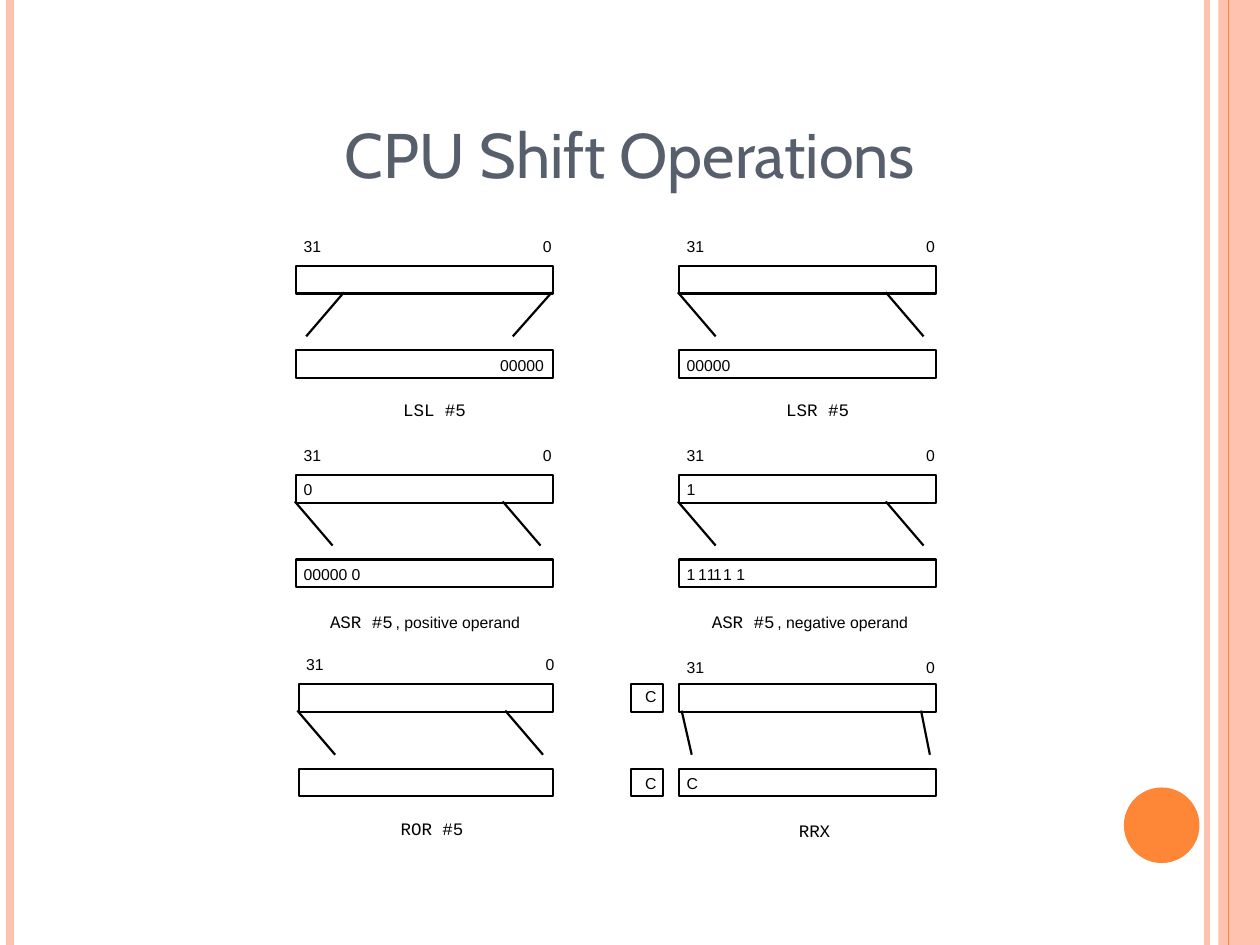
from dataclasses import dataclass

from lxml import etree
from pptx import Presentation
from pptx import util as u
from pptx.dml.color import RGBColor
from pptx.enum import shapes, text
from pptx.oxml.ns import qn


@dataclass(frozen=True)
class Theme:
    ink: str = "000000"
    paper: str = "FFFFFF"
    heading: str = "575F6D"
    orange: str = "FE8637"
    peach: str = "FEC2AE"
    title_font: str = "Cabin"
    sans: str = "Arial"
    mono: str = "Courier New"
    title_size: int = 36
    label_size: int = 9
    code_size: int = 10
    stroke: float = 1.25


THEME = Theme()
WIDTH, HEIGHT = 10, 7.5

TITLE = "CPU Shift Operations"
STRIPES = [
    (9.58, THEME.peach, 3),
    (0.08, THEME.peach, 4.5),
    (9.75, THEME.orange, 0.75),
]

COLUMNS = [2.35, 5.39]
FIRST_ROW, ROW_PITCH = 2.11, 1.66
REGISTER_W, REGISTER_H, RESULT_DROP = 2.04, 0.22, 0.67
SLANT_TOP, SLANT_BOTTOM = 0.21, 0.56
LEFT_PAD, BIT_ZERO = 0.06, 1.96
FLAG_GAP, FLAG_W = 0.38, 0.25

RIGHT_SHIFT = [(-0.01, 0.29), (1.64, 1.94)]
OPERATIONS = [
    dict(cell=(0, 0), code="LSL #5", caption=(0.85, 1.06),
         slants=[(0.38, 0.08), (2.03, 1.72)], after=[(1.62, "00000")]),
    dict(cell=(1, 0), code="LSR #5", caption=(0.85, 1.06),
         slants=RIGHT_SHIFT, after=[(LEFT_PAD, "00000")]),
    dict(cell=(0, 1), code="ASR #5", caption=(0.27, 1.08), remark=", positive operand",
         slants=RIGHT_SHIFT, before="0", after=[(LEFT_PAD, "00000 0")]),
    dict(cell=(1, 1), code="ASR #5", caption=(0.26, 1.08), remark=", negative operand",
         slants=RIGHT_SHIFT, before="1",
         after=[(LEFT_PAD, "1"), (0.15, "1"), (0.22, "1"), (0.27, "1"), (0.35, "1 1")]),
    dict(cell=(0, 2), code="ROR #5", caption=(0.81, 1.06), slants=RIGHT_SHIFT, inset=0.02),
    dict(cell=(1, 2), code="RRX", caption=(0.95, 1.08),
         slants=[(0.02, 0.1), (1.92, 1.99)], after=[(LEFT_PAD, "C")], flag="C",
         label_shift=0.02),
]


def rgb(value):
    return RGBColor.from_string(value)


def inches(*lengths):
    return [u.Inches(length) for length in lengths]


def draw_shape(slide, kind, box, fill, outline=None):
    shape = slide.shapes.add_shape(kind, *inches(*box))
    shape.shadow.inherit = False
    shape.fill.solid()
    shape.fill.fore_color.rgb = rgb(fill)
    if outline:
        shape.line.color.rgb = rgb(outline)
        shape.line.width = u.Pt(THEME.stroke)
    else:
        shape.line.fill.background()


def draw_line(slide, start, end, color, weight):
    line = slide.shapes.add_connector(shapes.MSO_CONNECTOR.STRAIGHT, *inches(*start, *end))
    line.line.color.rgb = rgb(color)
    line.line.width = u.Pt(weight)
    etree.SubElement(line._element.spPr, qn("a:effectLst"))


def format_font(font, name, size, color):
    font.name = name
    font.size = u.Pt(size)
    font.color.rgb = rgb(color)


def write(slide, x, y, words, code=False):
    if code:
        width = len(words) / 12
    else:
        width = sum(0.035 if c in " ,it" else 0.09 if c == "C" else 0.07 for c in words)
    label = slide.shapes.add_textbox(*inches(x, y, width, 0.17 if code else 0.15))
    frame = label.text_frame
    frame.margin_left = frame.margin_top = frame.margin_right = frame.margin_bottom = 0
    frame.word_wrap = False
    frame.text = words
    format_font(frame.paragraphs[0].runs[0].font, THEME.mono if code else THEME.sans,
                THEME.code_size if code else THEME.label_size, THEME.ink)


def draw_register(slide, x, y, width):
    draw_shape(slide, shapes.MSO_SHAPE.RECTANGLE, (x, y, width, REGISTER_H),
               THEME.paper, THEME.ink)


def draw_operation(slide, operation):
    column, row = operation["cell"]
    inset = operation.get("inset", 0)
    x = COLUMNS[column] + inset
    y = FIRST_ROW + row * ROW_PITCH
    result_y = y + RESULT_DROP

    for top in (y, result_y):
        draw_register(slide, x, top, REGISTER_W - inset)
    for start, end in operation["slants"]:
        draw_line(slide, (x + start, y + SLANT_TOP), (x + end, y + SLANT_BOTTOM),
                  THEME.ink, THEME.stroke)

    label_y = y - 0.23 + operation.get("label_shift", 0)
    write(slide, x + LEFT_PAD, label_y, "31")
    write(slide, x + BIT_ZERO, label_y, "0")
    if "before" in operation:
        write(slide, x + LEFT_PAD, y + 0.04, operation["before"])
    for offset, bits in operation.get("after", []):
        write(slide, x + offset, result_y + 0.04, bits)
    if "flag" in operation:
        for top, drop in ((y, 0.02), (result_y, 0.04)):
            draw_register(slide, x - FLAG_GAP, top, FLAG_W)
            write(slide, x - FLAG_GAP + 0.11, top + drop, operation["flag"])

    offset, drop = operation["caption"]
    write(slide, x + offset, y + drop, operation["code"], code=True)
    if "remark" in operation:
        write(slide, x + offset + 0.52, y + drop + 0.01, operation["remark"])


def draw_frame(slide):
    draw_shape(slide, shapes.MSO_SHAPE.RECTANGLE, (9.67, 0, 0.33, HEIGHT), THEME.peach)
    for x, color, weight in STRIPES:
        draw_line(slide, (x, 0), (x, HEIGHT), color, weight)
    draw_shape(slide, shapes.MSO_SHAPE.OVAL, (8.92, 6.25, 0.6, 0.6), THEME.orange)


def write_title(slide):
    title = slide.shapes.title
    title.left, title.top, title.width, title.height = inches(0.5, 0.89, 9, 0.66)
    title.text_frame.text = TITLE
    title.text_frame.vertical_anchor = text.MSO_ANCHOR.MIDDLE
    heading = title.text_frame.paragraphs[0]
    heading.alignment = text.PP_ALIGN.CENTER
    format_font(heading.runs[0].font, THEME.title_font, THEME.title_size, THEME.heading)


def main():
    deck = Presentation()
    deck.slide_width, deck.slide_height = inches(WIDTH, HEIGHT)
    slide = deck.slides.add_slide(deck.slide_layouts[5])
    draw_frame(slide)
    for operation in OPERATIONS:
        draw_operation(slide, operation)
    write_title(slide)
    deck.save("out.pptx")


if __name__ == "__main__":
    main()
